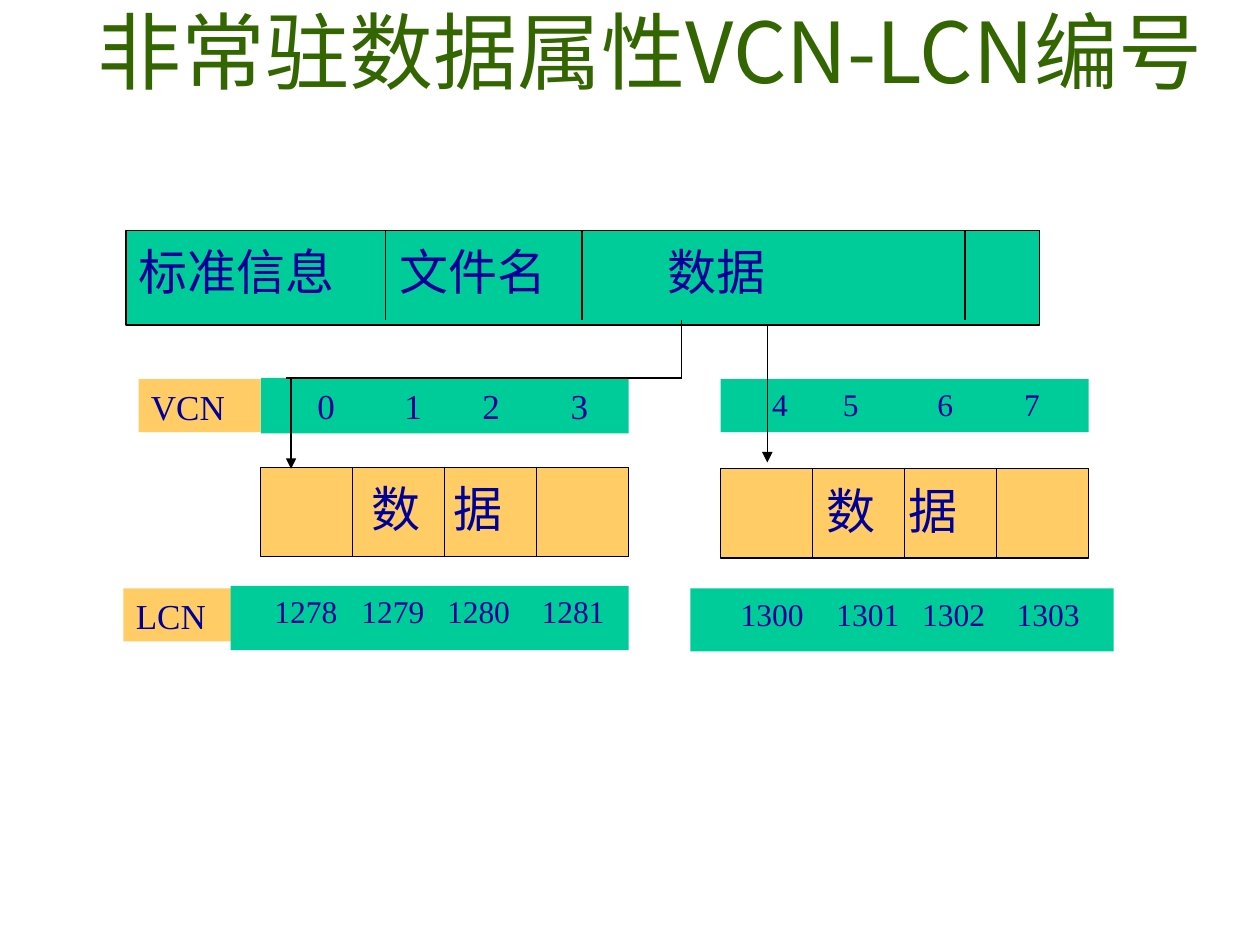
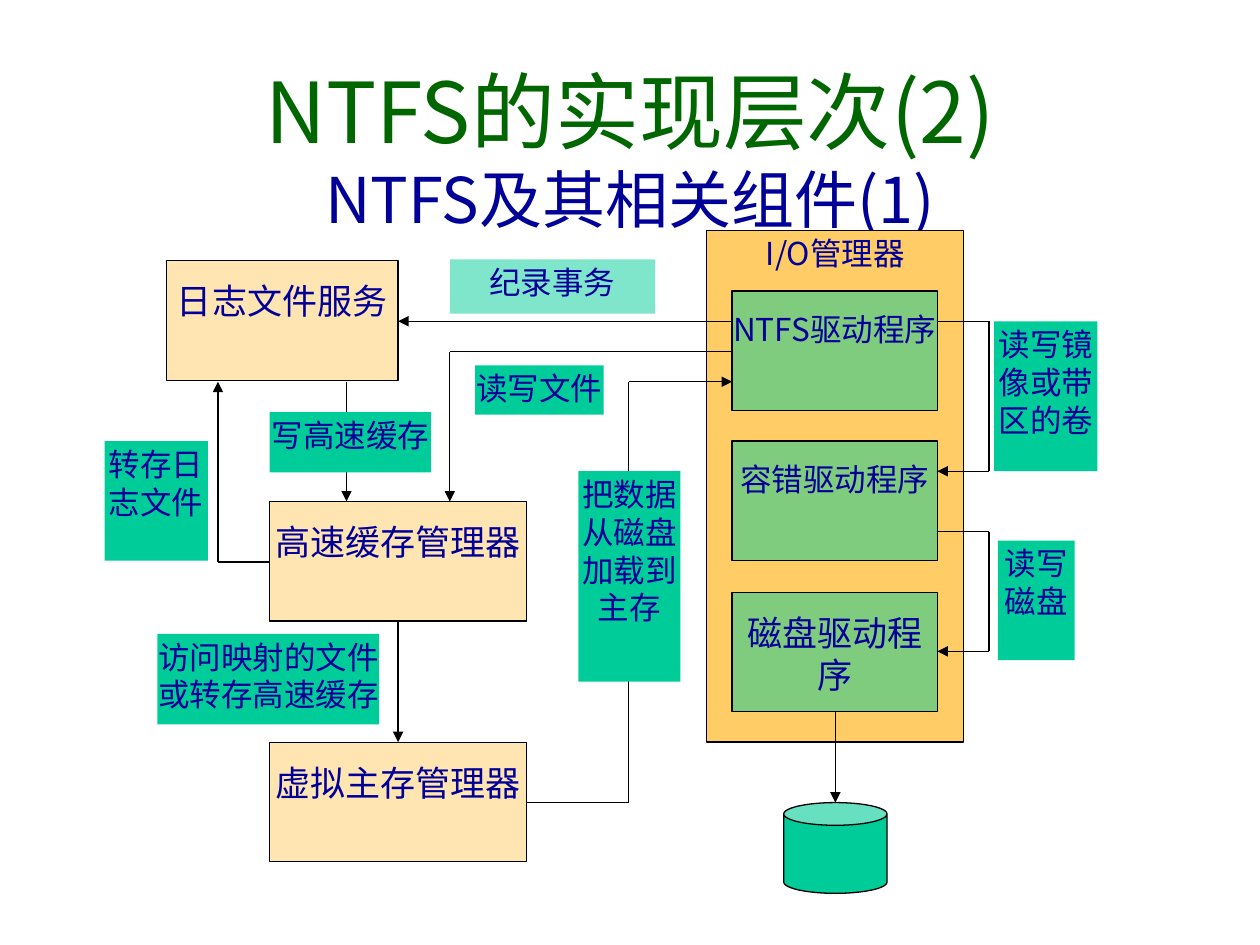
from itertools import pairwise
from lxml.etree import SubElement
from pptx import Presentation
from pptx.dml.color import RGBColor
from pptx.enum.shapes import MSO_CONNECTOR, MSO_SHAPE
from pptx.enum.text import MSO_ANCHOR, PP_ALIGN
from pptx.oxml.ns import qn
from pptx.util import Inches, Pt

COLORS = {"green": "00CC99", "orange": "FFCC66", "text": "000099", "line": "000000",
          "title1": "336600", "title2": "006600"}
CJK, LATIN = "Noto Sans CJK JP", "Times New Roman"


def box(s, text, at, fill=None, alpha=None, outline=False, shape=MSO_SHAPE.RECTANGLE,
        size=18, font=CJK, color="text", align=PP_ALIGN.CENTER, anchor=MSO_ANCHOR.TOP,
        inset=(0, 0), tabs=()):
    """Add a shape with text; a line may be (text, size, color), tabs are slide positions."""
    sp = s.shapes.add_shape(shape, *map(Inches, at))
    sp.shadow.inherit = False
    if fill:
        sp.fill.solid()
        sp.fill.fore_color.rgb = RGBColor.from_string(COLORS[fill])
        if alpha:
            clr = sp.fill._xPr.find(".//" + qn("a:srgbClr"))
            SubElement(clr, qn("a:alpha"), val=str(alpha * 1000))
    else:
        sp.fill.background()
    if outline:
        sp.line.color.rgb = RGBColor.from_string(COLORS["line"])
        sp.line.width = Pt(0.75)
    else:
        sp.line.fill.background()
    tf = sp.text_frame
    tf.word_wrap = True
    tf.vertical_anchor = anchor
    tf.margin_left = tf.margin_right = Inches(inset[0])
    tf.margin_top, tf.margin_bottom = Inches(inset[1]), 0
    lines = text.split("\n") if isinstance(text, str) else text
    for i, row in enumerate(lines):
        words, pt, tone = (row, size, color) if isinstance(row, str) else row
        if not words:
            continue
        p = tf.paragraphs[0] if i == 0 else tf.add_paragraph()
        if tabs:
            tab_list = SubElement(p._p.get_or_add_pPr(), qn("a:tabLst"))
            for x in tabs:
                SubElement(tab_list, qn("a:tab"), pos=str(Inches(x - at[0] - inset[0])), algn="l")
        p.alignment = align
        if font == CJK:
            p.line_spacing = Pt(pt * 1.2)
        r = p.add_run()
        r.text = words
        r.font.size, r.font.name = Pt(pt), font
        r.font.color.rgb = RGBColor.from_string(COLORS[tone])
        SubElement(r._r.get_or_add_rPr(), qn("a:ea"), typeface=font)
    return sp


def line(s, *points, arrow=False):
    """Join the points with straight connectors; the arrowhead sits on the last point."""
    for start, end in pairwise(points):
        c = s.shapes.add_connector(MSO_CONNECTOR.STRAIGHT, *map(Inches, start + end))
        c.line.color.rgb = RGBColor.from_string(COLORS["line"])
        c.line.width = Pt(0.75)
        if arrow and end == points[-1]:
            SubElement(c.line._get_or_add_ln(), qn("a:tailEnd"), type="triangle")
        SubElement(c._element.spPr, qn("a:effectLst"))


prs = Presentation()
prs.slide_width, prs.slide_height = Inches(10), Inches(7.5)

# Slide 1: VCN-LCN numbering
s = prs.slides.add_slide(prs.slide_layouts[6])
box(s, "非常驻数据属性VCN-LCN编号", (0.33, 0, 9.66, 0.8), size=48, color="title1")

cell = dict(outline=True, size=28, align=PP_ALIGN.LEFT, inset=(0.1, 0.09))
number = dict(font=LATIN, align=PP_ALIGN.LEFT, inset=(0.1, 0.05))

box(s, "标准信息\t文件名\t数据", (1, 1.83, 7.25, 0.75), fill="green", tabs=(3.17, 5.3), **cell)
for x in (3.06, 4.62, 7.66):
    line(s, (x, 1.83), (x, 2.54))

for label, at in (("LCN", (0.98, 4.67, 0.97, 0.42)), ("VCN", (1.1, 3.01, 0.97, 0.42))):
    box(s, label, at, fill="orange", size=20, **number)

number_rows = (
    ((0, 1, 2, 3), (2.07, 3, 2.92, 0.44), 20, (2.52, 3.21, 3.83, 4.53)),
    ((4, 5, 6, 7), (5.72, 3.01, 2.92, 0.42), 18, (6.13, 6.69, 7.44, 8.13)),
    ((1278, 1279, 1280, 1281), (1.83, 4.65, 3.16, 0.51), 18, (2.18, 2.87, 3.55, 4.3)),
    ((1300, 1301, 1302, 1303), (5.48, 4.67, 3.36, 0.5), 18, (5.88, 6.64, 7.32, 8.07)),
)
for values, at, size, tabs in number_rows:
    box(s, "".join(f"\t{v}" for v in values), at, fill="green", size=size, tabs=tabs, **number)

for left, top, tabs in ((2.07, 3.71, (2.95, 3.6)), (5.72, 3.72, (6.56, 7.21))):
    box(s, "\t数\t据", (left, top, 2.92, 0.71), fill="orange", tabs=tabs, **cell)
    for i in range(1, 4):
        x = left + i * 0.73
        line(s, (x, top), (x, top + 0.71))

line(s, (5.41, 2.54), (5.41, 3), (2.27, 3))
line(s, (2.31, 3.01), (2.31, 3.72), arrow=True)
line(s, (6.09, 2.58), (6.09, 3.67), arrow=True)

# Slide 2: NTFS and its related components
s = prs.slides.add_slide(prs.slide_layouts[6])
box(s, [("NTFS的实现层次(2)", 48, "title2"), ("NTFS及其相关组件(1)", 36, "text")],
    (0.75, 0.5, 8.5, 1.25), anchor=MSO_ANCHOR.MIDDLE, inset=(0.1, 0.1))

box(s, "I/O管理器", (5.61, 1.83, 2.04, 4.06), fill="orange", outline=True, inset=(0, 0.03))
components = (
    ("NTFS驱动程序", 5.81, 2.31, 1.63, "green", 18),
    ("容错驱动程序", 5.81, 3.5, 1.63, "green", 18),
    ("磁盘驱动程序", 5.81, 4.7, 1.63, "green", 20),
    ("日志文件服务", 1.32, 2.07, 1.84, "orange", 20),
    ("高速缓存管理器", 2.14, 3.98, 2.04, "orange", 20),
    ("虚拟主存管理器", 2.14, 5.89, 2.04, "orange", 20),
)
for text, left, top, width, fill, size in components:
    box(s, text, (left, top, width, 0.95), fill=fill, alpha=50, outline=True, size=size,
        inset=(0, 0.15))
disk = box(s, "", (6.22, 6.37, 0.82, 0.72), fill="green", outline=True, shape=MSO_SHAPE.CAN)
disk.adjustments[0] = 0.25

flows = (
    ((7.44, 2.55), (7.85, 2.55), (7.85, 3.74), (7.44, 3.74)),
    ((7.44, 4.22), (7.85, 4.22), (7.85, 5.17), (7.44, 5.17)),
    ((6.63, 5.65), (6.63, 6.37)),
    ((5.81, 2.55), (3.16, 2.55)),
    ((5.81, 2.79), (3.57, 2.79), (3.57, 3.98)),
    ((2.75, 3.03), (2.75, 3.98)),
    ((3.16, 4.94), (3.16, 5.89)),
    ((4.18, 6.37), (4.99, 6.37), (4.99, 3.03), (5.81, 3.03)),
    ((2.14, 4.46), (1.73, 4.46), (1.73, 3.03)),
)
for points in flows:
    line(s, *points, arrow=True)

flow_labels = (
    ("纪录事务", (3.57, 2.06, 1.63, 0.43), 50),
    ("读写文件", (3.77, 2.9, 1.02, 0.39), None),
    ("把数据\n从磁盘\n加载到\n主存", (4.59, 3.74, 0.81, 1.67), None),
    ("写高速缓存", (2.14, 3.27, 1.28, 0.48), None),
    ("访问映射的文件或转存高速缓存", (1.25, 5.03, 1.76, 0.72), None),
    ("转存日\n志文件", (0.83, 3.5, 0.82, 0.95), None),
    ("读写镜像或带区的卷", (7.89, 2.55, 0.82, 1.19), None),
    ("读写\n磁盘", (7.92, 4.29, 0.61, 0.95), None),
)
for text, at, alpha in flow_labels:
    box(s, text, at, fill="green", alpha=alpha, inset=(0, 0.03))

prs.save("out.pptx")
